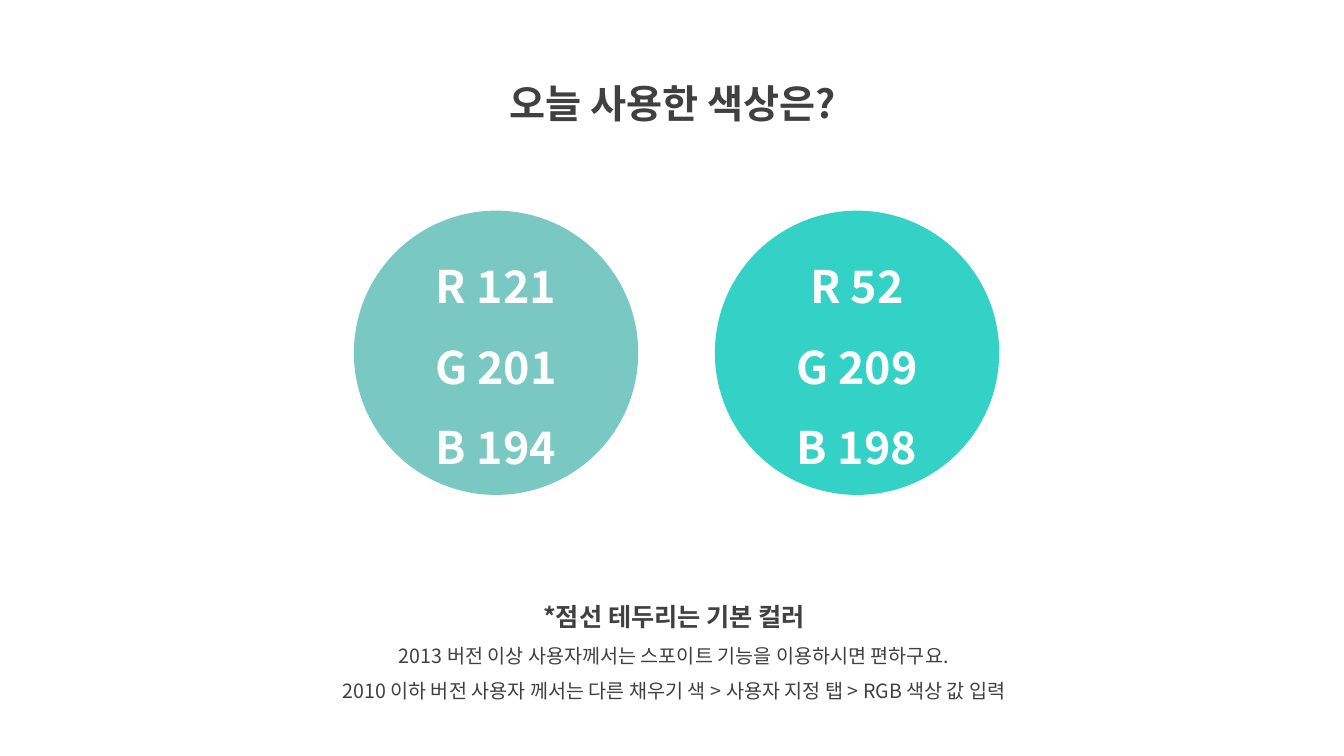
from lxml import etree
from pptx import Presentation
from pptx import util as u
from pptx.dml.color import RGBColor
from pptx.enum import shapes, text
from pptx.oxml.ns import qn

# Content
TITLE = "오늘 사용한 색상은?"
NOTES = [
    ("*점선 테두리는 기본 컬러", 18, True),
    ("2013 버전 이상 사용자께서는 스포이트 기능을 이용하시면 편하구요.", 14, False),
    ("2010 이하 버전 사용자 께서는 다른 채우기 색 > 사용자 지정 탭 > RGB 색상 값 입력", 14, False),
]
SWATCHES = [RGBColor(121, 201, 194), RGBColor(52, 209, 198)]

# Format
FONT = "Noto Sans CJK KR"
DARK = RGBColor(0x40, 0x40, 0x40)
WHITE = RGBColor(0xFF, 0xFF, 0xFF)
W, H = 13.33, 7.5
DIAMETER, PITCH = 2.82, 3.58
FIRST_LEFT, CIRCLE_TOP = 3.51, 2.09


def write(tf, lines, color):
    """Fill a frame with centred (words, size, bold) lines."""
    tf.word_wrap = True
    for i, (words, size, bold) in enumerate(lines):
        p = tf.add_paragraph() if i else tf.paragraphs[0]
        p.alignment = text.PP_ALIGN.CENTER
        p.line_spacing = 1.5
        r = p.add_run()
        r.text = words
        r.font.color.rgb = color
        for name, value in {"size": u.Pt(size), "bold": bold, "name": FONT}.items():
            setattr(r.font, name, value)
        etree.SubElement(r.font._element, qn("a:ea"), typeface=FONT)


def text_box(s, box, lines):
    tf = s.shapes.add_textbox(*map(u.Inches, box)).text_frame
    write(tf, lines, DARK)
    tf.auto_size = text.MSO_AUTO_SIZE.SHAPE_TO_FIT_TEXT


def main():
    prs = Presentation()
    prs.slide_width, prs.slide_height = u.Inches(W), u.Inches(H)
    s = prs.slides.add_slide(prs.slide_layouts[6])

    # Title and notes
    text_box(s, (4.36, 0.5, 4.63, 0.72), [(TITLE, 28, True)])
    text_box(s, (2.69, 5.77, 7.99, 1.26), NOTES)

    # Colour circles, each labelled with its own channel values
    for i, color in enumerate(SWATCHES):
        box = (FIRST_LEFT + i * PITCH, CIRCLE_TOP, DIAMETER, DIAMETER)
        sp = s.shapes.add_shape(shapes.MSO_SHAPE.OVAL, *map(u.Inches, box))
        sp.shadow.inherit = False
        sp.fill.solid()
        sp.fill.fore_color.rgb = color
        sp.line.fill.background()
        sp.text_frame.vertical_anchor = text.MSO_ANCHOR.MIDDLE
        write(sp.text_frame, [(f"{c} {v}", 32, True) for c, v in zip("RGB", color)], WHITE)

    prs.save("out.pptx")


if __name__ == "__main__":
    main()
